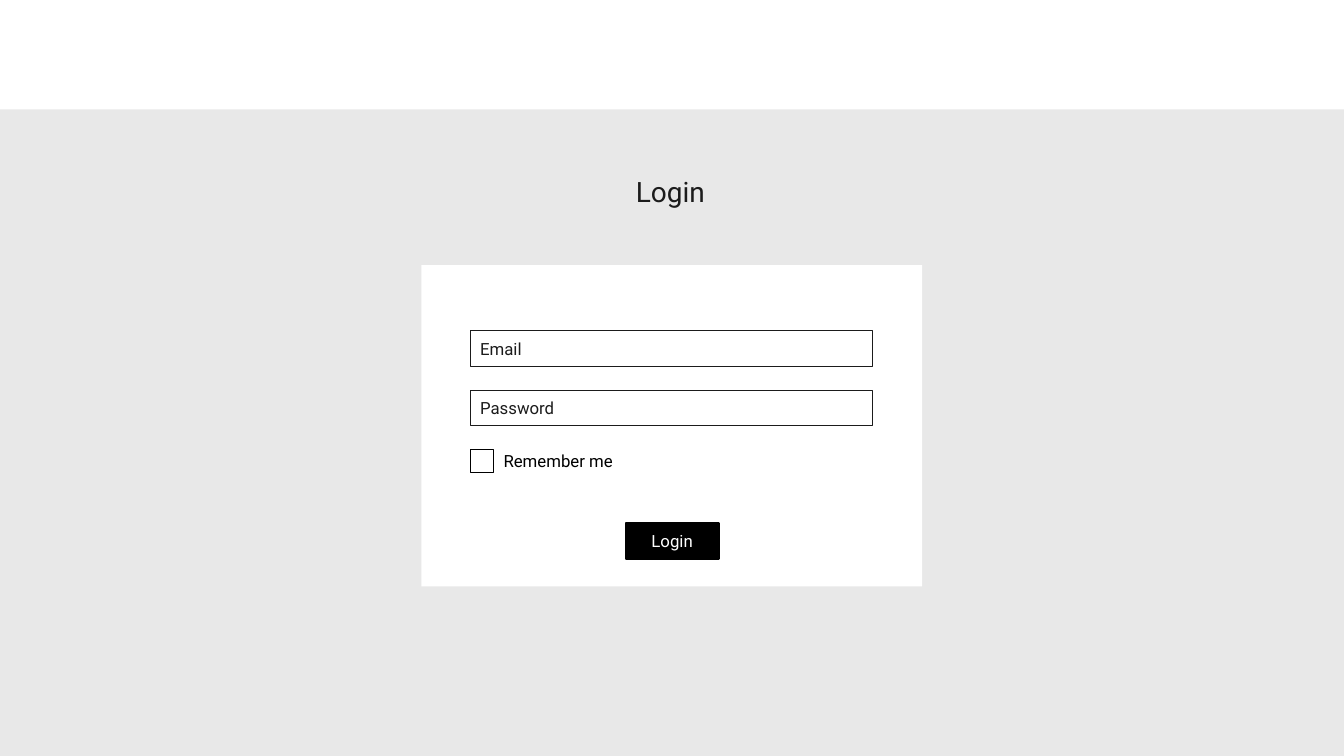
from pptx import Presentation
from pptx import util as u
from pptx.dml import color
from pptx.enum import shapes, text

COLORS = {"page": "E8E8E8", "white": "FFFFFF", "ink": "1B1B1B", "black": "000000"}
FONT = "Roboto"


def add_box(x, y, w, h, fill=None, line=None, weight=0.75):
    sp = s.shapes.add_shape(shapes.MSO_SHAPE.RECTANGLE, u.Cm(x), u.Cm(y), u.Cm(w), u.Cm(h))
    sp.shadow.inherit = False
    if fill:
        sp.fill.solid()
        sp.fill.fore_color.rgb = color.RGBColor.from_string(COLORS[fill])
    else:
        sp.fill.background()
    if line:
        sp.line.color.rgb = color.RGBColor.from_string(COLORS[line])
        sp.line.width = u.Pt(weight)
    else:
        sp.line.fill.background()
    return sp


def set_text(sp, words, ink, size=12, align=text.PP_ALIGN.LEFT, anchor=text.MSO_ANCHOR.MIDDLE):
    tf = sp.text_frame
    tf.text = words
    tf.vertical_anchor = anchor
    p = tf.paragraphs[0]
    p.alignment = align
    r = p.runs[0]
    r.font.name = FONT
    r.font.size = u.Pt(size)
    r.font.color.rgb = color.RGBColor.from_string(COLORS[ink])
    return tf


# Slide and background
prs = Presentation()
prs.slide_width, prs.slide_height = u.Cm(33.87), u.Cm(19.05)
s = prs.slides.add_slide(prs.slide_layouts[5])
s.background.fill.solid()
s.background.fill.fore_color.rgb = color.RGBColor.from_string(COLORS["page"])

# Header band and login panel
add_box(0, 0, 33.87, 2.76, fill="white")
add_box(10.62, 6.68, 12.62, 8.1, fill="white")

# Title
title = s.shapes.title
title.left, title.top, title.width, title.height = u.Cm(15.77), u.Cm(4.27), u.Cm(2.34), u.Cm(1.12)
tf = set_text(title, "Login", "ink", size=20, anchor=text.MSO_ANCHOR.TOP)
tf.word_wrap = False
tf.auto_size = text.MSO_AUTO_SIZE.SHAPE_TO_FIT_TEXT

# Input fields
for i, label in enumerate(["Email", "Password"]):
    field = add_box(11.85, 8.33 + i * 1.5, 10.15, 0.9, line="ink")
    set_text(field, label, "ink")

# Login button
button = add_box(15.77, 13.19, 2.34, 0.9, fill="black", line="black", weight=1.5)
set_text(button, "Login", "white", align=text.PP_ALIGN.CENTER)

# Remember me checkbox
add_box(11.85, 11.33, 0.58, 0.58, line="black")
remember = s.shapes.add_textbox(u.Cm(12.44), u.Cm(11.23), u.Cm(3.53), u.Cm(0.77))
tf = set_text(remember, "Remember me", "black", anchor=text.MSO_ANCHOR.TOP)
tf.word_wrap = True
tf.auto_size = text.MSO_AUTO_SIZE.SHAPE_TO_FIT_TEXT

prs.save("out.pptx")
